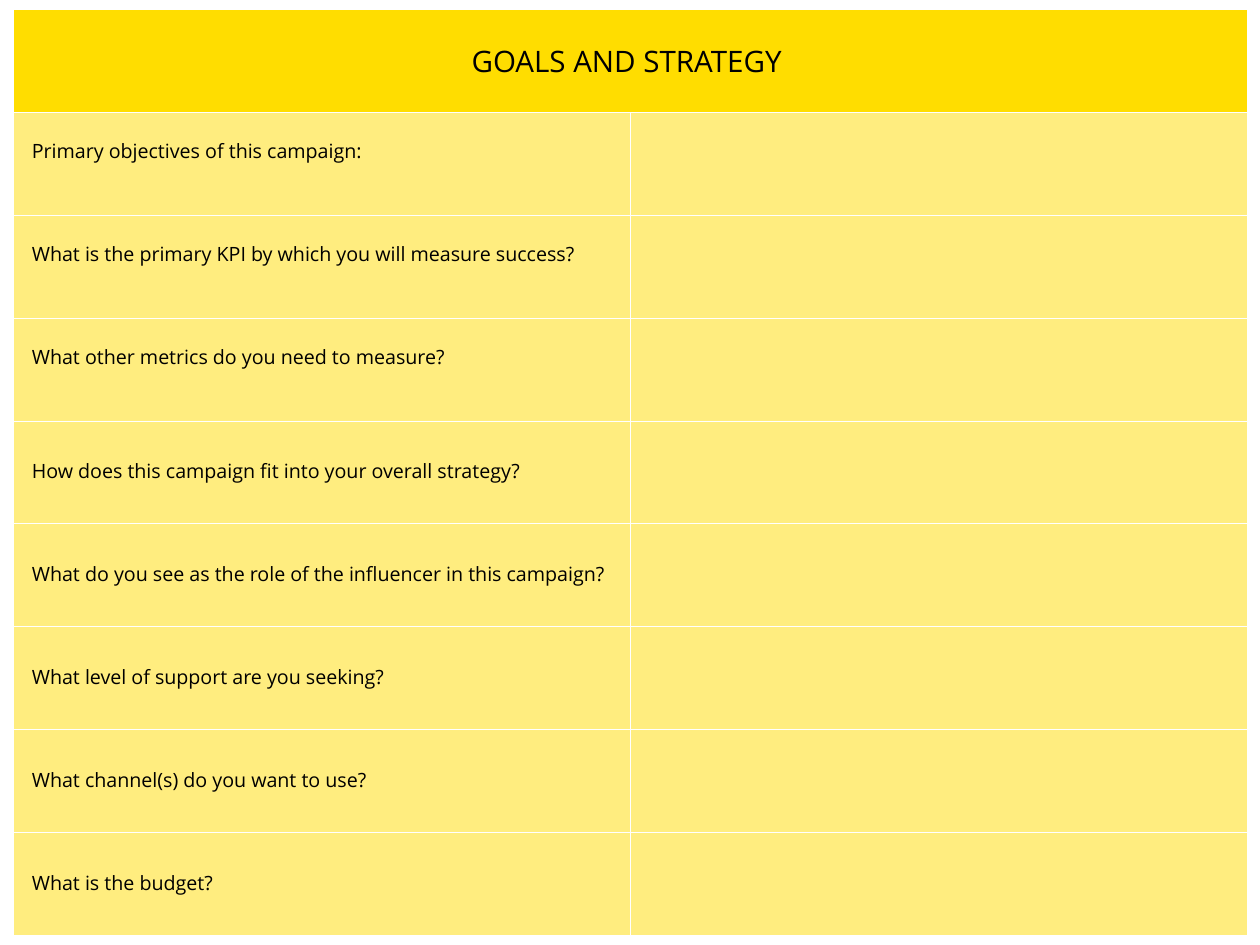
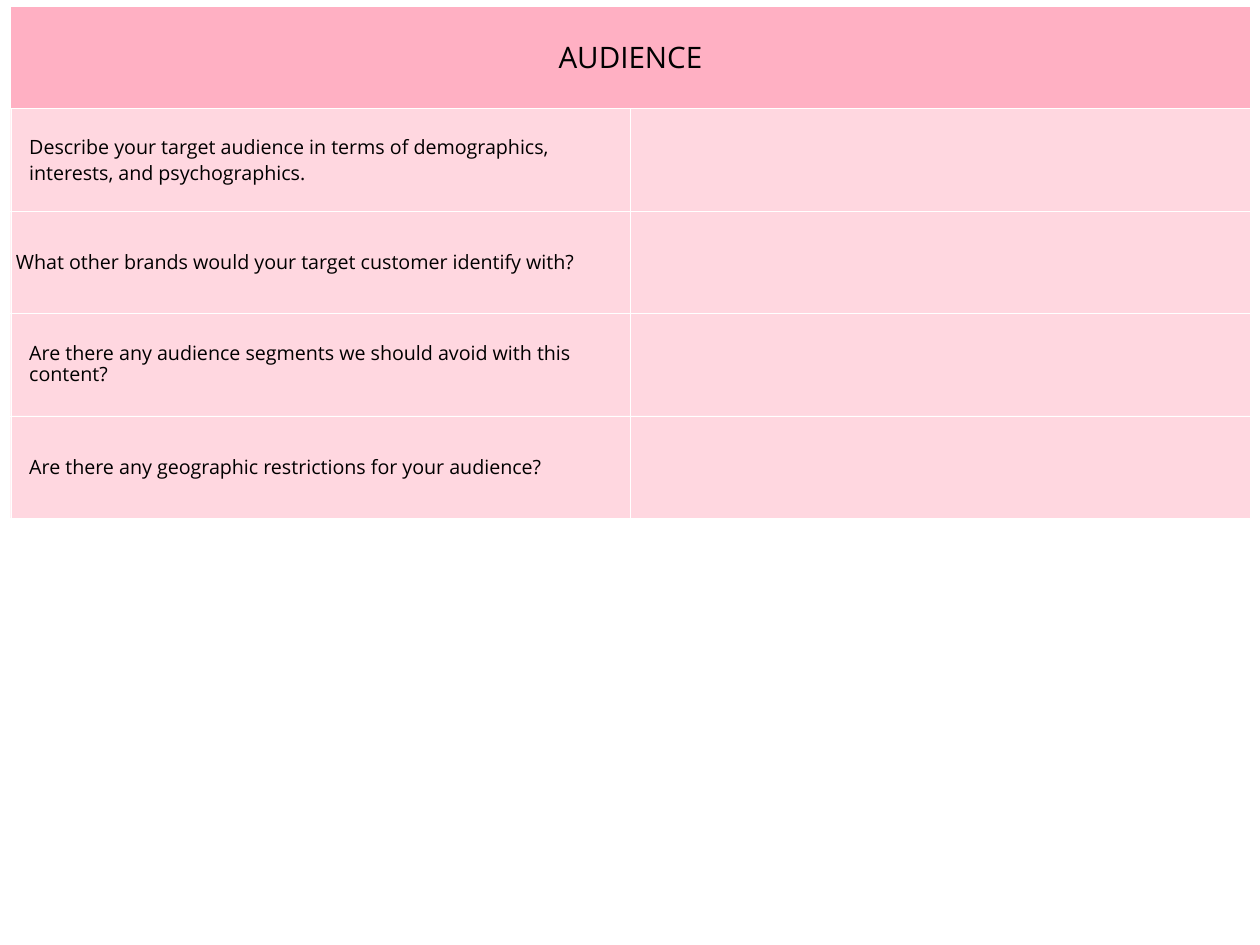
import pptx
import pptx.util
import pptx.dml.color
import pptx.enum.text
import pptx.oxml
from lxml import etree

Inches = pptx.util.Inches
Pt = pptx.util.Pt
RGBColor = pptx.dml.color.RGBColor
ALIGN = pptx.enum.text.PP_ALIGN
MIDDLE = pptx.enum.text.MSO_ANCHOR.MIDDLE

YELLOW = RGBColor(0xFF, 0xDD, 0x00)
PINK = RGBColor(0xFF, 0xB0, 0xC3)
BLACK = RGBColor(0x00, 0x00, 0x00)
WHITE = RGBColor(0xFF, 0xFF, 0xFF)
FONT = "Open Sans"
PAD = 0.21
SLIM = 0.06
LOOSE = (1.0, 9)
TIGHT = (0.8, 1)

FORMS = [
    {
        "title": "GOALS AND STRATEGY ",
        "color": YELLOW,
        "box": (0.15, 0.11, 13.93, 10.45),
        "line": 1,
        "asks": [
            ("Primary objectives of this campaign:", LOOSE, PAD, 0.3),
            ("What is the primary KPI by which you will measure success?", LOOSE, PAD, 0.3),
            ("What other metrics do you need to measure?", TIGHT, PAD, 0.25),
            ("How does this campaign fit into your overall strategy?", TIGHT, PAD, 0),
            ("What do you see as the role of the influencer in this campaign?", TIGHT, PAD, 0),
            ("What level of support are you seeking?", TIGHT, PAD, 0),
            ("What channel(s) do you want to use?", TIGHT, PAD, 0),
            ("What is the budget?", TIGHT, PAD, 0),
        ],
    },
    {
        "title": "AUDIENCE",
        "color": PINK,
        "box": (0.12, 0.07, 13.99, 5.78),
        "line": 0.25,
        "asks": [
            ("Describe your target audience in terms of demographics, interests, and psychographics.",
             LOOSE, PAD, 0),
            ("What other brands would your target customer identify with?", LOOSE, SLIM, 0),
            ("Are there any audience segments we should avoid with this content?", TIGHT, PAD, 0),
            ("Are there any geographic restrictions for your audience?", LOOSE, PAD, 0),
        ],
    },
]


def paint(cell, color, widths, alpha=None):
    cell.fill.solid()
    cell.fill.fore_color.rgb = color
    props = cell._tc.get_or_add_tcPr()
    if alpha:
        tint = props.find(".//" + pptx.oxml.ns.qn("a:srgbClr"))
        etree.SubElement(tint, pptx.oxml.ns.qn("a:alpha"), val=str(alpha * 1000))
    for spot, (side, width) in enumerate(zip("LRTB", widths)):
        edge = etree.Element(pptx.oxml.ns.qn("a:ln" + side), w=str(int(Pt(width))))
        fill = etree.SubElement(edge, pptx.oxml.ns.qn("a:solidFill"))
        etree.SubElement(fill, pptx.oxml.ns.qn("a:srgbClr"), val=str(WHITE))
        props.insert(spot, edge)


def write(cell, text, size, style=LOOSE, pad=PAD, lift=0, align=ALIGN.LEFT):
    cell.vertical_anchor = MIDDLE
    cell.margin_left = cell.margin_right = cell.margin_top = Inches(pad)
    cell.margin_bottom = Inches(pad + lift)
    para = cell.text_frame.paragraphs[0]
    para.alignment = align
    para.line_spacing, before = style
    para.space_before = Pt(before)
    run = para.add_run()
    run.text = text
    run.font.name = FONT
    run.font.size = Pt(size)
    run.font.bold = False
    run.font.color.rgb = BLACK


def build(deck, form):
    slide = deck.slides.add_slide(deck.slide_layouts[6])
    asks, color, line = form["asks"], form["color"], form["line"]
    count = len(asks) + 1
    box = [Inches(n) for n in form["box"]]
    table = slide.shapes.add_table(count, 2, *box).table
    table.first_row = table.horz_banding = False
    for col in table.columns:
        col.width = box[2] // 2
    for row in table.rows:
        row.height = box[3] // count
    head = table.cell(0, 0)
    head.merge(table.cell(0, 1))
    for cell in table.rows[0].cells:
        paint(cell, color, (1, 1, 1, line))
    write(head, form["title"], 24, align=ALIGN.CENTER)
    for num, (text, style, pad, lift) in enumerate(asks, 1):
        for cell in table.rows[num].cells:
            paint(cell, color, (line,) * 4, alpha=50)
        write(table.cell(num, 0), text, 16, style, pad, lift)


deck = pptx.Presentation()
deck.slide_width = Inches(14.22)
deck.slide_height = Inches(10.67)
for form in FORMS:
    build(deck, form)
deck.save("out.pptx")
